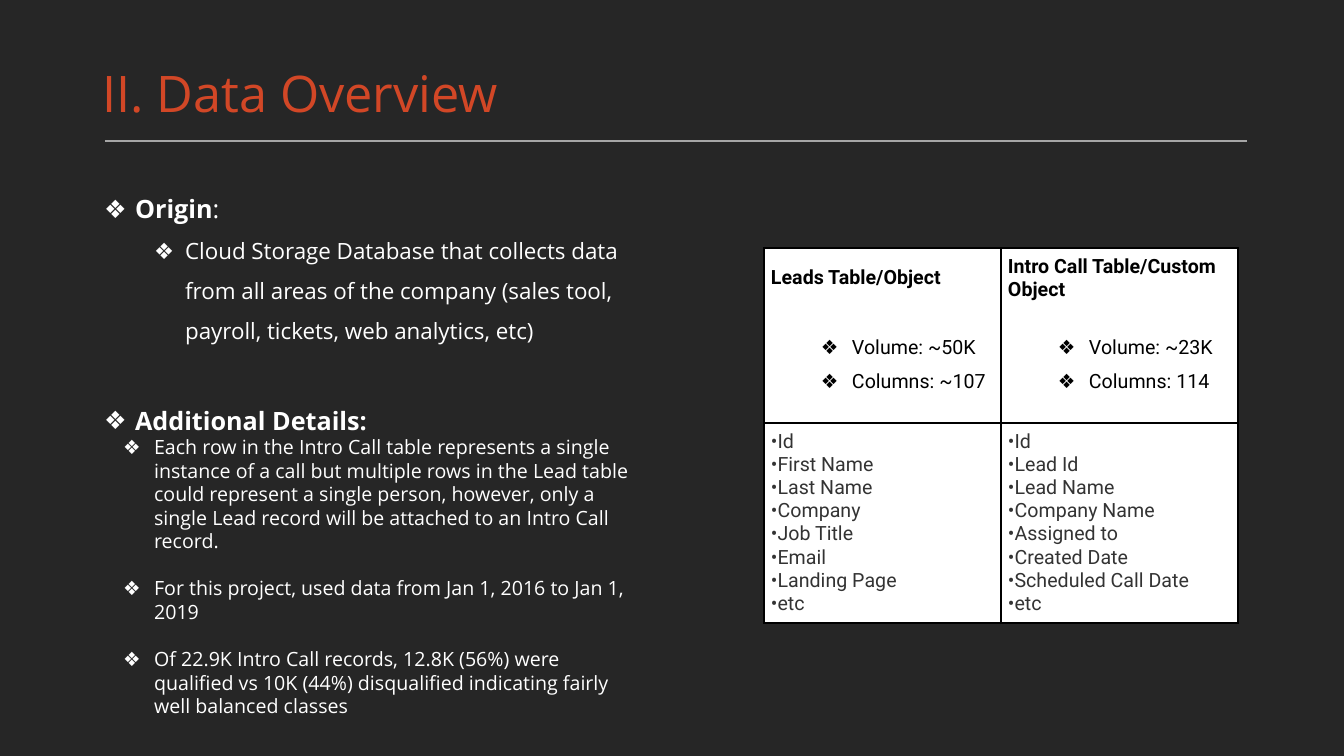
from lxml.etree import SubElement as add_node
from pptx import Presentation
from pptx.dml.color import RGBColor as Color
from pptx.enum.shapes import MSO_CONNECTOR as Connector
from pptx.enum.text import MSO_ANCHOR as Anchor, MSO_AUTO_SIZE as AutoSize, PP_ALIGN as Align
from pptx.oxml import parse_xml
from pptx.oxml.ns import nsdecls, qn
from pptx.util import Pt

TITLE = "II. Data Overview"
# Each body entry: style name, then (text, bold) runs
BODY = [
    ("heading", [("Origin", True), (":", False)]),
    ("source", [("Cloud Storage Database that collects data from all areas of the company "
                 "(sales tool, payroll, tickets, web analytics, etc)", False)]),
    ("next_heading", [("Additional Details:", True)]),
    ("detail", [("Each row in the Intro Call table represents a single instance of a call but "
                 "multiple rows in the Lead table could represent a single person, however, only "
                 "a single Lead record will be attached to an Intro Call record.", False)]),
    ("next_detail", [("For this project, used data from Jan 1, 2016 to Jan 1, 2019", False)]),
    ("next_detail", [("Of 22.9K Intro Call records, 12.8K (56%) were qualified vs 10K (44%) "
                      "disqualified indicating fairly well balanced classes", False)]),
]
TABLES = [
    {"name": "Leads Table/Object", "name_style": "name_tall", "fact_style": "fact_far",
     "facts": ["Volume: ~50K", "Columns: ~107"],
     "fields": ["Id", "First Name", "Last Name", "Company", "Job Title", "Email",
                "Landing Page", "etc"]},
    {"name": "Intro Call Table/Custom Object", "name_style": "name", "fact_style": "fact_near",
     "facts": ["Volume: ~23K", "Columns: 114"],
     "fields": ["Id", "Lead Id", "Lead Name", "Company Name", "Assigned to", "Created Date",
                "Scheduled Call Date", "etc"]},
]

THEME = {
    "background": "262626", "title": "D24726", "rule": "A6A6A6", "body": "FFFFFF",
    "cell": "FFFFFF", "border": "000000", "ink": "000000", "field": "333333",
    "body_font": "Open Sans", "table_font": "Roboto",
    "title_size": 36, "heading_size": 18, "source_size": 16, "small_size": 14,
}
SCALE = 12192000 / 1344
TITLE_BOX = (92, 51, 1159, 91)
BODY_BOX = (94, 141, 560, 593)
BODY_INSET = 48
RULE = (105, 141, 1247, 141)
TABLE_BOX = (764, 248, 474, 375)
ROW_HEIGHTS = (175, 200)
CELL_INSET = 7
DIAMOND, DOT = "\u2756", "\u2022"


def style(font, size, color, spacing=1.0, before=0, left=0, hang=0, bullet=None):
    """Gather the format of one kind of paragraph."""
    spacing = Pt(spacing) if spacing > 3 else spacing
    return {"span": {"name": THEME[font], "size": Pt(THEME[size])}, "color": THEME[color],
            "para": {"line_spacing": spacing, "space_before": Pt(before),
                     "space_after": Pt(0), "alignment": Align.LEFT},
            "left": left, "hang": hang, "bullet": bullet}


def body_style(size, spacing, before, left):
    """Describe a diamond list level of the body."""
    return style("body_font", size, "body", spacing, before, left, 31, DIAMOND)


def fact_style(before):
    """Describe a diamond list line in the table's top row."""
    return style("table_font", "small_size", "ink", 1.5, before, 81, 31, DIAMOND)


STYLES = {
    "title": style("body_font", "title_size", "title", 0.9),
    "heading": body_style("heading_size", 25, 0, 31),
    "next_heading": body_style("heading_size", 25, 40, 31),
    "source": body_style("source_size", 28.6, 0, 81),
    "detail": body_style("small_size", 16.8, 0, 50),
    "next_detail": body_style("small_size", 16.8, 16.8, 50),
    "name": style("table_font", "small_size", "ink"),
    "name_tall": style("table_font", "small_size", "ink", 1.5),
    "fact": fact_style(0),
    "fact_near": fact_style(16.4),
    "fact_far": fact_style(24.6),
    "field": style("table_font", "small_size", "field", bullet=DOT),
}


def px(length):
    """Turn pixels into EMU."""
    return round(length * SCALE)


def assign(target, values):
    """Set attributes from a dict."""
    for key, value in values.items():
        setattr(target, key, value)


def place(shape, frame):
    """Move and size a shape."""
    assign(shape, dict(zip(("left", "top", "width", "height"), map(px, frame))))


def write(frame, lines):
    """Fill a text frame with styled paragraphs."""
    for index, (name, runs) in enumerate(lines):
        look = STYLES[name]
        para = frame.add_paragraph() if index else frame.paragraphs[0]
        assign(para, look["para"])
        props = para._p.get_or_add_pPr()
        props.set("marL", str(px(look["left"])))
        props.set("indent", str(px(-look["hang"])))
        if look["bullet"]:
            add_node(props, qn("a:buFont"), typeface=look["span"]["name"])
            add_node(props, qn("a:buChar"), char=look["bullet"])
        else:
            add_node(props, qn("a:buNone"))
        for text, bold in runs:
            span = para.add_run()
            span.text = text
            assign(span.font, {**look["span"], "bold": bold})
            span.font.color.rgb = Color.from_string(look["color"])


def fill_placeholder(shape, frame, lines, settings):
    """Place and fill one of the layout's placeholders."""
    place(shape, frame)
    assign(shape.text_frame, {"word_wrap": True, "auto_size": AutoSize.NONE, **settings})
    write(shape.text_frame, lines)


def draw_rule(page):
    """Draw the thin line below the title."""
    rule = page.shapes.add_connector(Connector.STRAIGHT, *map(px, RULE))
    rule.line.color.rgb = Color.from_string(THEME["rule"])
    rule.line.width = Pt(1)
    add_node(rule._element.spPr, qn("a:effectLst"))


def fill_cell(cell, lines):
    """Fill, frame and write a table cell."""
    assign(cell, {f"margin_{side}": px(CELL_INSET) for side in ("left", "right", "top", "bottom")})
    cell.vertical_anchor = Anchor.TOP
    cell.fill.solid()
    cell.fill.fore_color.rgb = Color.from_string(THEME["cell"])
    props = cell._tc.get_or_add_tcPr()
    for index, side in enumerate("LRTB"):
        props.insert(index, parse_xml(
            f'<a:ln{side} {nsdecls("a")} w="{Pt(1)}"><a:solidFill>'
            f'<a:srgbClr val="{THEME["border"]}"/></a:solidFill></a:ln{side}>'))
    write(cell.text_frame, lines)


def draw_table(page):
    """Draw the two data objects side by side."""
    table = page.shapes.add_table(2, len(TABLES), *map(px, TABLE_BOX)).table
    assign(table, {"first_row": False, "horz_banding": False})
    for row, height in zip(table.rows, ROW_HEIGHTS):
        row.height = px(height)
    for column, source in enumerate(TABLES):
        table.columns[column].width = px(TABLE_BOX[2] / len(TABLES))
        summary = [(source["name_style"], [(source["name"], True)])]
        for name, fact in zip((source["fact_style"], "fact"), source["facts"]):
            summary.append((name, [(fact, False)]))
        fill_cell(table.cell(0, column), summary)
        fill_cell(table.cell(1, column),
                  [("field", [(field, False)]) for field in source["fields"]])


deck = Presentation()
assign(deck, {"slide_width": px(1344), "slide_height": px(756)})
page = deck.slides.add_slide(deck.slide_layouts[1])
page.background.fill.solid()
page.background.fill.fore_color.rgb = Color.from_string(THEME["background"])
draw_rule(page)
fill_placeholder(page.shapes.title, TITLE_BOX, [("title", [(TITLE, False)])],
                 {"vertical_anchor": Anchor.MIDDLE})
fill_placeholder(page.placeholders[1], BODY_BOX, BODY,
                 {"vertical_anchor": Anchor.TOP, "margin_top": px(BODY_INSET)})
draw_table(page)
deck.save("out.pptx")
